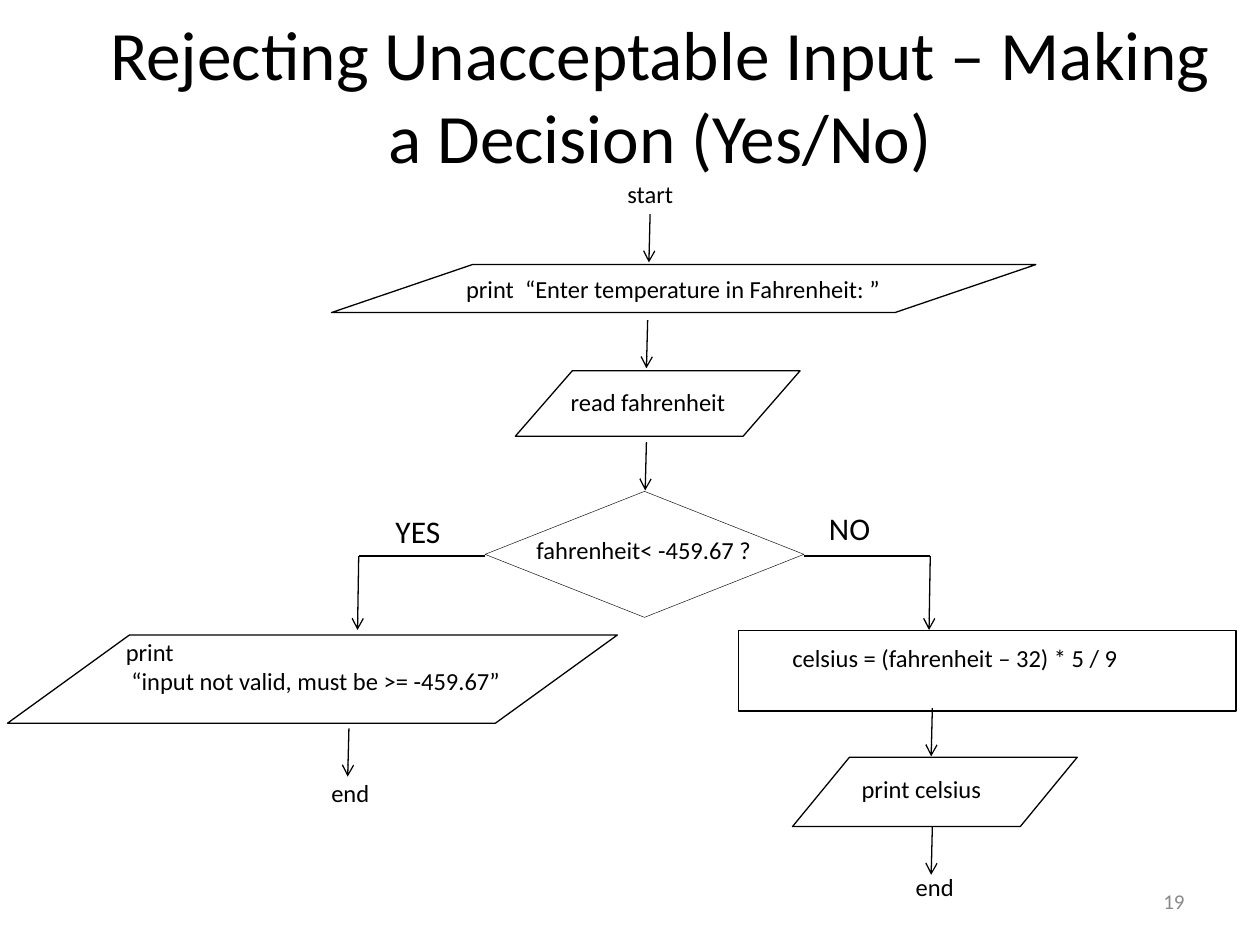
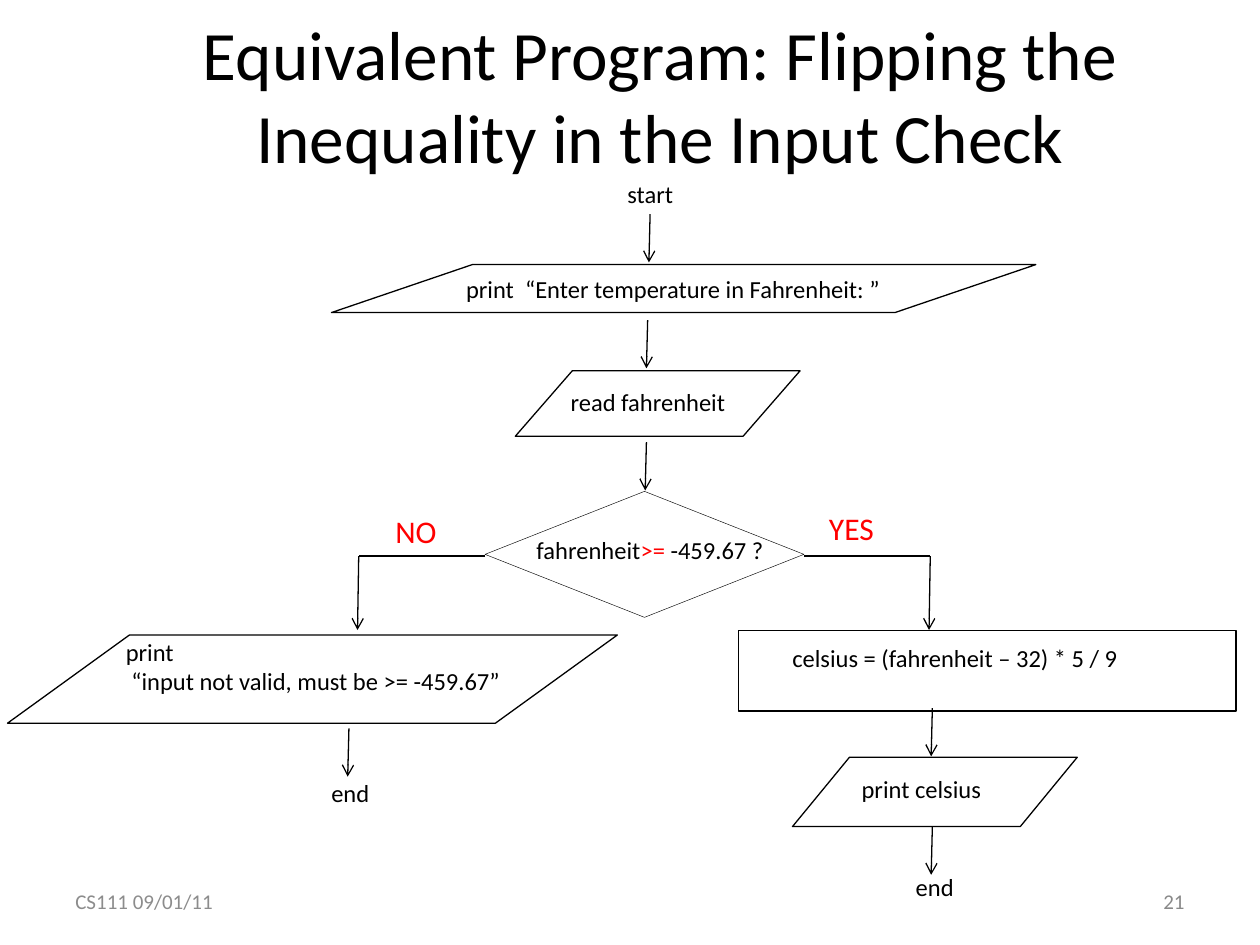
import pptx
import pptx.util
import pptx.dml.color
import pptx.enum.shapes
import pptx.enum.text
import pptx.oxml.ns
import lxml.etree
from dataclasses import dataclass

Pt = pptx.util.Pt
RGB = pptx.dml.color.RGBColor.from_string
SHAPE = pptx.enum.shapes.MSO_SHAPE
ALIGN = pptx.enum.text.PP_ALIGN
ANCHOR = pptx.enum.text.MSO_ANCHOR


@dataclass(frozen=True)
class Theme:
    font: str = "Calibri"
    ink: str = "000000"
    paper: str = "FFFFFF"
    change: str = "FF0000"
    date: str = "8C8C8C"
    number: str = "898989"
    title_size: float = 39.6
    step_size: float = 14
    branch_size: float = 18
    footer_size: float = 12
    line: float = 0.75
    thin_line: float = 0.25


theme = Theme()

SLIDES = [
    {
        "title": "Rejecting Unacceptable Input – Making a Decision (Yes/No)",
        "condition": [("fahrenheit< -459.67 ?", theme.ink)],
        "branches": ("YES", "NO"),
        "branch_color": theme.ink,
        "date": None,
        "number": "19",
    },
    {
        "title": "Equivalent Program: Flipping the Inequality in the Input Check",
        "condition": [("fahrenheit", theme.ink), (">=", theme.change), (" -459.67 ?", theme.ink)],
        "branches": ("NO", "YES"),
        "branch_color": theme.change,
        "date": "CS111 09/01/11",
        "number": "21",
    },
]

STEPS = [
    (SHAPE.FLOWCHART_DATA, (189.4, 151.2, 402.5, 27.4), (259.2, 153.2, 253.4, 24.5),
     ["print  “Enter temperature in Fahrenheit: ”"]),
    (SHAPE.FLOWCHART_DATA, (294.5, 211.9, 162.7, 37.4), (319, 217.4, 103.7, 24.5),
     ["read fahrenheit"]),
    (SHAPE.RECTANGLE, (421.9, 360.2, 284.4, 46.1), (445.7, 363.9, 201.6, 24.5),
     ["celsius = (fahrenheit – 32) * 5 / 9"]),
    (SHAPE.FLOWCHART_DATA, (452.9, 432.7, 162.7, 39.6), (485.3, 438.5, 83.5, 24.5),
     ["print celsius"]),
    (SHAPE.FLOWCHART_DATA, (4.3, 362.9, 348.5, 50.4), (64.8, 360.2, 234.7, 41),
     ["print", " “input not valid, must be >= -459.67”"]),
]
TERMINALS = [("start", 351.4, 99), ("end", 182.2, 440.8), ("end", 516.2, 494.6)]
TERMINAL_SIZE = (48, 24.5)
STEP_ARROWS = [(371.5, 122.4), (370.1, 182.9), (369.4, 252.7),
               (199.4, 416.2), (532.8, 404.6), (532.8, 472.3)]
STEP_DROP, ARROW_LEAN = 27.6, 0.7

TITLE_BOX = (53.3, 8.8, 648, 90)
DECISION_BOX = (277.2, 280.8, 182.2, 72)
CONDITION_BOX = (299.5, 302.4, 148.3, 24.5)
BRANCH_SPOTS = [(218.9, 289.2), (466.6, 287.3)]
BRANCH_SIZE = (48, 28.8)
BRANCH_Y, BRANCH_END_Y, BRANCH_REACH = 317.8, 360, 72.2
DATE_BOX = (36, 500.4, 167.8, 28.8)
NUMBER_BOX = (516.2, 500.4, 167.8, 28.8)


def points(box):
    return [Pt(length) for length in box]


def style(paragraph, size, color, align=ALIGN.LEFT):
    paragraph.alignment = align
    font = paragraph.font
    font.name, font.size = theme.font, Pt(size)
    font.color.rgb = RGB(color)


def add_text(shapes, box, lines, size, color=theme.ink, align=ALIGN.LEFT,
             anchor=ANCHOR.TOP, wrap=True):
    frame = shapes.add_textbox(*points(box)).text_frame
    frame.word_wrap, frame.vertical_anchor = wrap, anchor
    frame.text = "\n".join(lines)
    for paragraph in frame.paragraphs:
        style(paragraph, size, color, align)
    return frame


def add_outline(shapes, kind, box, width=theme.line):
    outline = shapes.add_shape(kind, *points(box))
    outline.shadow.inherit = False
    outline.fill.solid()
    outline.fill.fore_color.rgb = RGB(theme.paper)
    outline.line.color.rgb = RGB(theme.ink)
    outline.line.width = Pt(width)


def add_line(shapes, start, end, arrow=True):
    line = shapes.add_connector(pptx.enum.shapes.MSO_CONNECTOR.STRAIGHT,
                                *points(start + end))
    line.line.color.rgb = RGB(theme.ink)
    line.line.width = Pt(theme.line)
    qn = pptx.oxml.ns.qn
    properties = line._element.spPr
    if arrow:
        lxml.etree.SubElement(properties.find(qn("a:ln")), qn("a:tailEnd"), type="arrow")
    lxml.etree.SubElement(properties, qn("a:effectLst"))


def add_title(slide, text):
    title = slide.shapes.title
    title.left, title.top, title.width, title.height = points(TITLE_BOX)
    frame = title.text_frame
    frame.text = text
    frame.auto_size = pptx.enum.text.MSO_AUTO_SIZE.NONE
    frame.vertical_anchor = ANCHOR.MIDDLE
    style(frame.paragraphs[0], theme.title_size, theme.ink, ALIGN.CENTER)


def add_decision(shapes, condition):
    decision = shapes.add_group_shape().shapes
    add_outline(decision, SHAPE.DIAMOND, DECISION_BOX, theme.thin_line)
    frame = add_text(decision, CONDITION_BOX, [""], theme.step_size, wrap=False)
    for part, color in condition:
        run = frame.paragraphs[0].add_run()
        run.text = part
        if color != theme.ink:
            run.font.color.rgb = RGB(color)


def add_branches(shapes, labels, color):
    left, _, width, _ = DECISION_BOX
    for label, spot, corner, reach in zip(labels, BRANCH_SPOTS, (left, left + width),
                                          (-BRANCH_REACH, BRANCH_REACH)):
        branch = shapes.add_group_shape().shapes
        turn = (corner + reach, BRANCH_Y)
        add_line(branch, (corner, BRANCH_Y), turn, arrow=False)
        add_line(branch, turn, (turn[0] - ARROW_LEAN, BRANCH_END_Y))
        add_text(shapes, spot + BRANCH_SIZE, [label], theme.branch_size, color)


def add_flowchart(shapes, content):
    for kind, box, text_box, lines in STEPS:
        step = shapes.add_group_shape().shapes
        add_outline(step, kind, box)
        add_text(step, text_box, lines, theme.step_size, wrap=False)
    add_decision(shapes, content["condition"])
    add_branches(shapes, content["branches"], content["branch_color"])
    for x, y in STEP_ARROWS:
        add_line(shapes, (x, y), (x - ARROW_LEAN, y + STEP_DROP))
    for word, x, y in TERMINALS:
        add_text(shapes, (x, y) + TERMINAL_SIZE, [word], theme.step_size)


def add_footer(shapes, date, number):
    if date:
        add_text(shapes, DATE_BOX, [date], theme.footer_size, theme.date, anchor=ANCHOR.MIDDLE)
    add_text(shapes, NUMBER_BOX, [number], theme.footer_size, theme.number,
             ALIGN.RIGHT, ANCHOR.MIDDLE)


def main():
    deck = pptx.Presentation()
    deck.slide_width, deck.slide_height = Pt(720), Pt(540)
    title_only = deck.slide_layouts[5]
    for content in SLIDES:
        slide = deck.slides.add_slide(title_only)
        add_title(slide, content["title"])
        add_flowchart(slide.shapes, content)
        add_footer(slide.shapes, content["date"], content["number"])
    deck.save("out.pptx")


if __name__ == "__main__":
    main()
